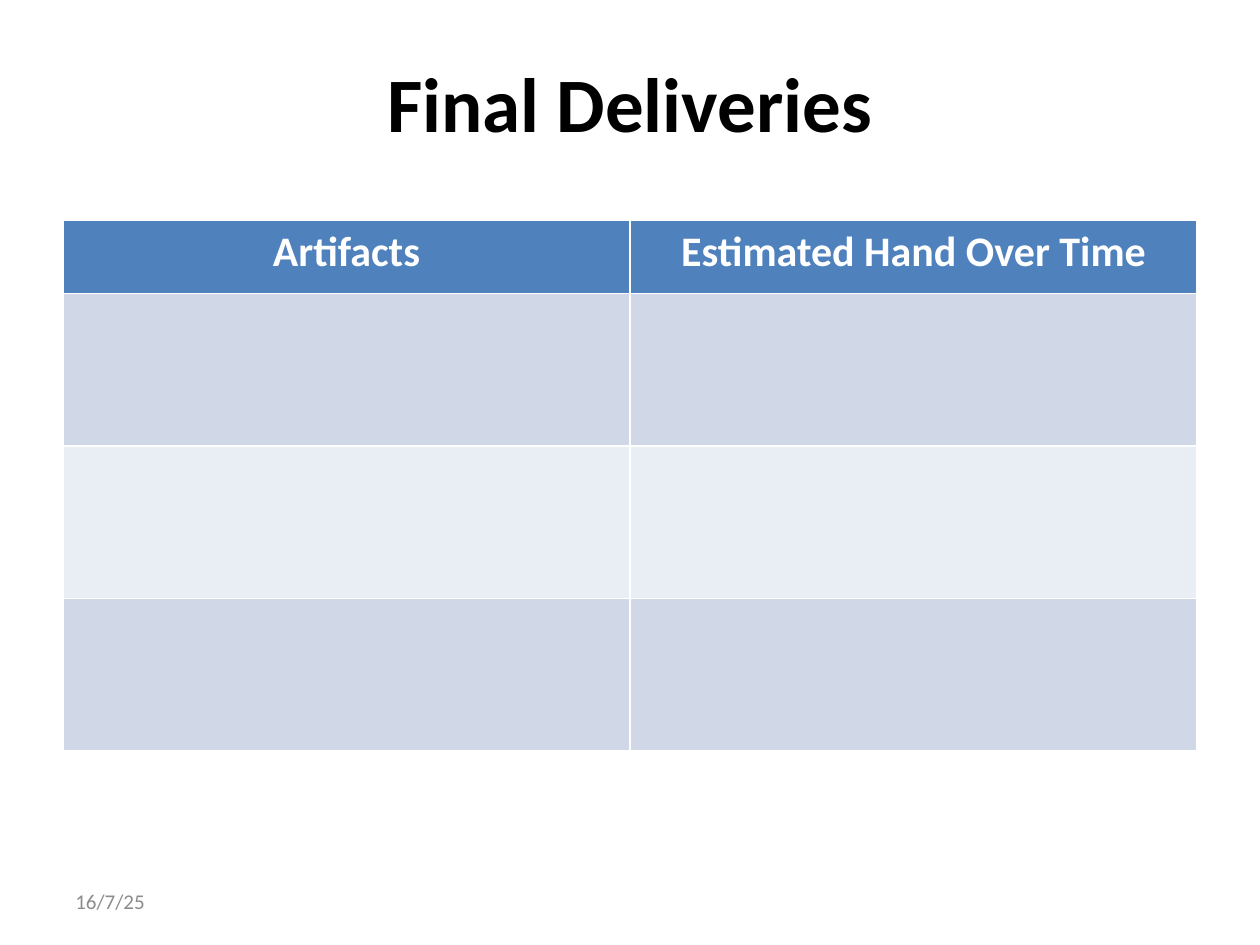
from dataclasses import dataclass

from pptx import Presentation
from pptx.dml.color import RGBColor
from pptx.enum.text import MSO_ANCHOR as Anchor, PP_ALIGN as Align
from pptx.util import Inches, Pt

HEADINGS = ("Artifacts", "Estimated Hand Over Time")
HEADER_FILL = "4F81BD"
BAND_FILLS = ("D0D8E8", "E9EDF4")
BODY_ROWS = 3
HEADER_HEIGHT, BODY_HEIGHT = 0.58, 1.21
TABLE_LEFT, TABLE_TOP, TABLE_WIDTH = 0.5, 1.75, 9


@dataclass(frozen=True)
class TextStyle:
    size: float
    color: str
    bold: bool = False
    align: Align = Align.LEFT


@dataclass(frozen=True)
class Label:
    text: str
    left: float
    top: float
    width: float
    height: float
    style: TextStyle


HEADER_STYLE = TextStyle(24, "FFFFFF", True, Align.CENTER)
LABELS = (
    Label("Final Deliveries", 0.5, 0.3, 9, 1.01,
          TextStyle(44, "000000", True, Align.CENTER)),
    Label("16/7/25", 0.5, 6.95, 2.33, 0.4, TextStyle(12, "8C8C8C")),
)


def rgb(color: str) -> RGBColor:
    return RGBColor.from_string(color)


def write_text(text_frame, text: str, style: TextStyle) -> None:
    paragraph = text_frame.paragraphs[0]
    paragraph.alignment = style.align
    run = paragraph.add_run()
    run.text = text
    font_format = {"name": "Calibri", "size": Pt(style.size), "bold": style.bold}
    for attribute, value in font_format.items():
        setattr(run.font, attribute, value)
    run.font.color.rgb = rgb(style.color)


def add_label(slide, label: Label) -> None:
    box = (label.left, label.top, label.width, label.height)
    shape = slide.shapes.add_textbox(*map(Inches, box))
    frame_format = {"word_wrap": True, "vertical_anchor": Anchor.MIDDLE}
    for attribute, value in frame_format.items():
        setattr(shape.text_frame, attribute, value)
    write_text(shape.text_frame, label.text, label.style)


def add_deliveries_table(slide) -> None:
    """Add the table; its default style supplies the white borders."""
    heights = [HEADER_HEIGHT] + [BODY_HEIGHT] * BODY_ROWS
    box = (TABLE_LEFT, TABLE_TOP, TABLE_WIDTH, sum(heights))
    table = slide.shapes.add_table(
        len(heights), len(HEADINGS), *map(Inches, box)).table
    for column in table.columns:
        column.width = Inches(TABLE_WIDTH / len(HEADINGS))
    for index, (row, height) in enumerate(zip(table.rows, heights)):
        row.height = Inches(height)
        color = BAND_FILLS[(index - 1) % 2] if index else HEADER_FILL
        for cell in row.cells:
            cell.fill.solid()
            cell.fill.fore_color.rgb = rgb(color)
    for cell, heading in zip(table.rows[0].cells, HEADINGS):
        write_text(cell.text_frame, heading, HEADER_STYLE)


def main() -> None:
    presentation = Presentation()
    presentation.slide_width = Inches(10)
    presentation.slide_height = Inches(7.5)
    slide = presentation.slides.add_slide(presentation.slide_layouts[6])
    for label in LABELS:
        add_label(slide, label)
    add_deliveries_table(slide)
    presentation.save("out.pptx")


if __name__ == "__main__":
    main()
